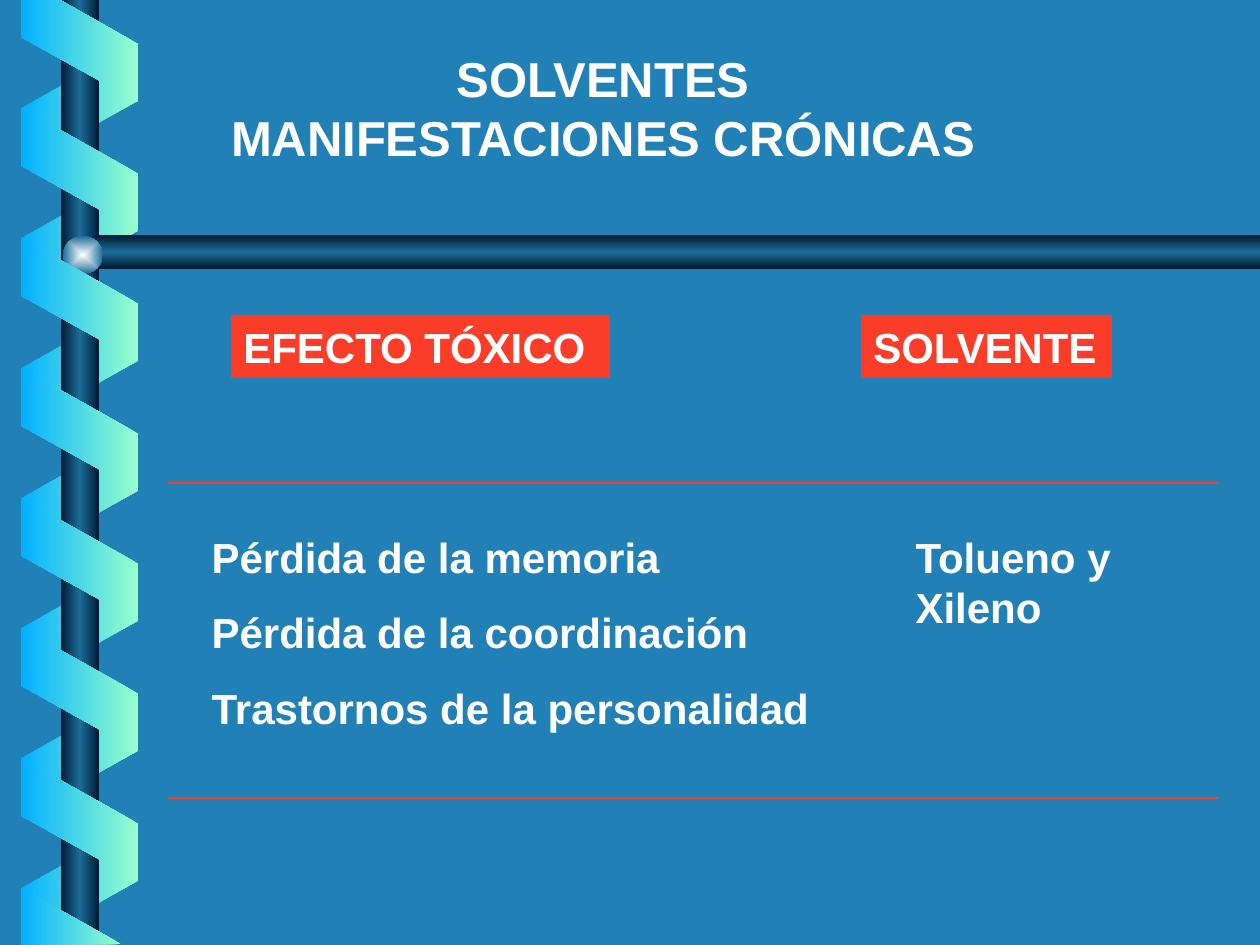
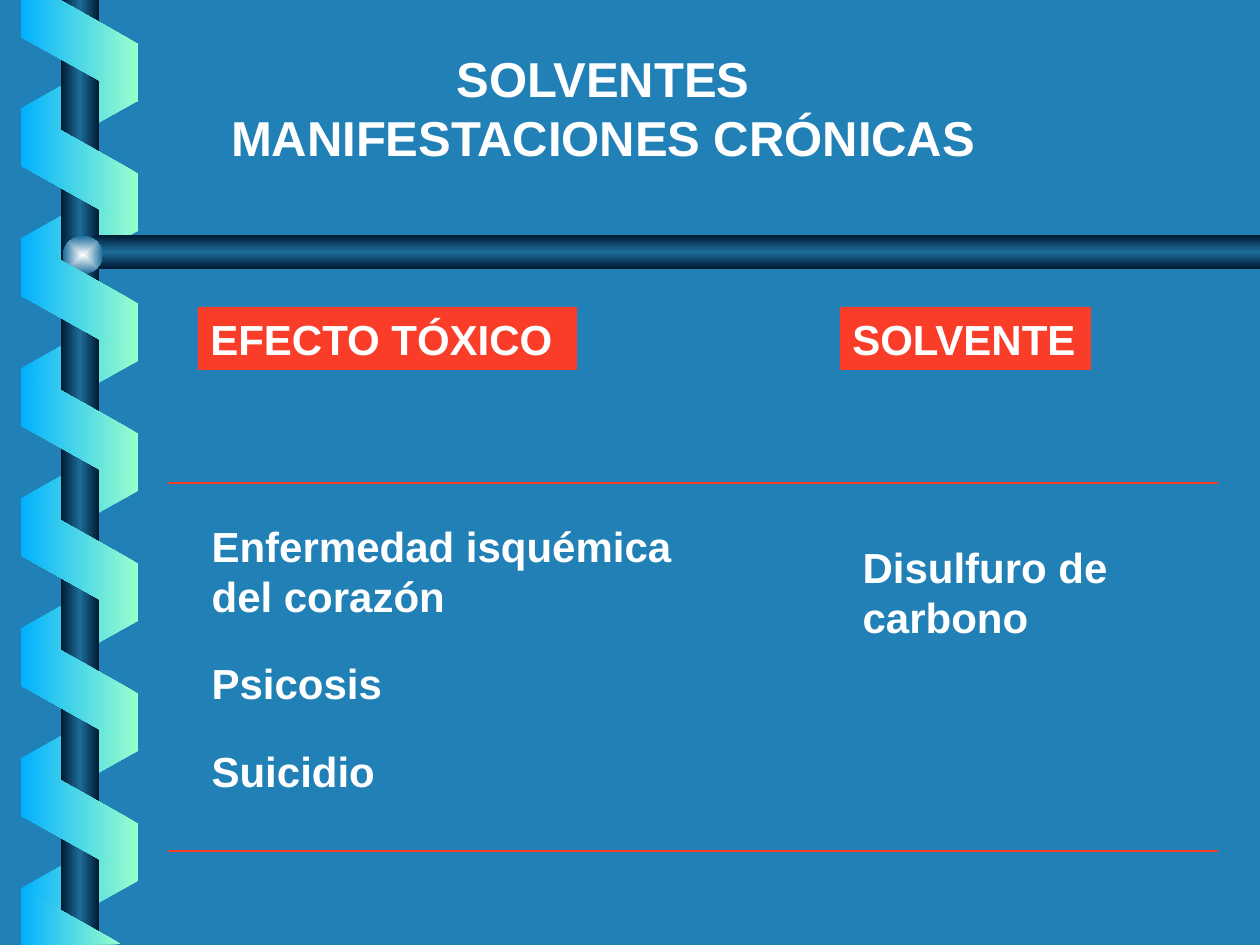
from dataclasses import dataclass

from lxml import etree
from pptx import Presentation
from pptx.dml.color import RGBColor
from pptx.enum.shapes import MSO_CONNECTOR as Connector, MSO_SHAPE as Shape
from pptx.enum.text import MSO_ANCHOR as Anchor, MSO_AUTO_SIZE as AutoSize, PP_ALIGN as Align
from pptx.oxml import parse_xml
from pptx.oxml.ns import nsdecls, qn
from pptx.util import Pt

EMU_PER_PX = 914400 / 126
PAGE_WIDTH, PAGE_HEIGHT = 1260, 945
TWO_CONTENT = 3


@dataclass(frozen=True)
class Theme:
    font: str = "Arial"
    title_size: int = 28
    text_size: int = 24
    line_width: int = 1
    background: str = "2181B7"
    text: str = "FFFFFF"
    accent: str = "F93D29"
    ribbon: tuple = ("99FFCC", "01B0FF")
    rod: tuple = ("001932", "1C6D9A", "001932")
    knob: tuple = ("FEFFFF", "1C6D9A")


@dataclass(frozen=True)
class Frame:
    left: int
    top: int
    width: int
    height: int

    def emu(self) -> tuple:
        return tuple(px(n) for n in (self.left, self.top, self.width, self.height))


@dataclass(frozen=True)
class Label:
    text: str
    frame: Frame


@dataclass(frozen=True)
class TextList:
    items: list[list[str]]  # each item holds its lines
    frame: Frame
    gap: float = 0  # points between items


@dataclass(frozen=True)
class EffectPage:
    labels: list[Label]
    effects: TextList
    solvent: TextList
    bottom_rule: int


THEME = Theme()
TITLE = TextList([["SOLVENTES", "MANIFESTACIONES CRÓNICAS"]], Frame(217, 42, 772, 131))
TOP_RULE, RULE_LEFT, RULE_RIGHT = 483, 168, 1218


def px(length: float) -> int:
    return round(length * EMU_PER_PX)


def color(value: str) -> RGBColor:
    return RGBColor.from_string(value)


def labels(effect_left: int, solvent_left: int, top: int) -> list[Label]:
    return [
        Label("SOLVENTE", Frame(solvent_left, top, 251, 63)),
        Label("EFECTO TÓXICO", Frame(effect_left, top, 379, 63)),
    ]


PAGES = [
    EffectPage(
        labels(231, 861, 315),
        TextList(
            [["Pérdida de la memoria"], ["Pérdida de la coordinación"],
             ["Trastornos de la personalidad"]],
            Frame(199, 525, 640, 210), gap=14.4),
        TextList([["Tolueno y", "Xileno"]], Frame(903, 525, 240, 113)),
        bottom_rule=798,
    ),
    EffectPage(
        labels(198, 840, 307),
        TextList(
            [["Enfermedad isquémica", "del corazón"], ["Psicosis"], ["Suicidio"]],
            Frame(199, 514, 496, 284), gap=21),
        TextList([["Disulfuro de", "carbono"]], Frame(850, 535, 290, 113)),
        bottom_rule=851,
    ),
]


# Fills
def fill_gradient(shape, colors: tuple, angle: int | None) -> None:
    """Blend evenly spaced colours along an angle, or outwards from the centre."""
    last = len(colors) - 1
    stops = "".join(
        f'<a:gs pos="{100000 * i // last}"><a:srgbClr val="{value}"/></a:gs>'
        for i, value in enumerate(colors))
    if angle is None:
        shade = ('<a:path path="rect"><a:fillToRect l="50000" t="50000" '
                 'r="50000" b="50000"/></a:path>')
    else:
        shade = f'<a:lin ang="{angle * 60000}" scaled="0"/>'
    shape.fill.background()
    properties = shape.element.spPr
    properties.replace(properties.find(qn("a:noFill")), parse_xml(
        f'<a:gradFill rotWithShape="0" {nsdecls("a")}>'
        f"<a:gsLst>{stops}</a:gsLst>{shade}</a:gradFill>"))
    shape.line.fill.background()
    shape.shadow.inherit = False


# Spiral binding and bars
def draw_preset(slide, kind: Shape, frame: Frame, colors: tuple, angle: int | None):
    shape = slide.shapes.add_shape(kind, *frame.emu())
    fill_gradient(shape, colors, angle)
    return shape


def draw_outline(slide, points: list[tuple], colors: tuple, angle: int) -> None:
    builder = slide.shapes.build_freeform(*points[0], scale=EMU_PER_PX)
    builder.add_line_segments(points[1:], close=True)
    fill_gradient(builder.convert_to_shape(), colors, angle)


def draw_coils(slide, count: int, first_top: int, behind: bool) -> None:
    colors = THEME.ribbon[::-1] if behind else THEME.ribbon
    for i in range(count):
        frame = Frame(18, first_top + 130 * i, 123, 117)
        coil = draw_preset(slide, Shape.PARALLELOGRAM, frame, colors, 180)
        coil.adjustments[0] = 0.56
        coil.rotation = 90 if behind else 270
        if behind:
            coil.element.spPr.find(qn("a:xfrm")).set("flipH", "1")


def draw_binding(slide) -> None:
    draw_coils(slide, 7, 46, behind=True)
    draw_preset(slide, Shape.RECTANGLE, Frame(61, 0, 38, PAGE_HEIGHT), THEME.rod, 180)
    bar = [(PAGE_WIDTH, 235), (96, 235), (76, 252), (96, 269), (PAGE_WIDTH, 269)]
    draw_outline(slide, bar, THEME.rod, 90)
    draw_preset(slide, Shape.OVAL, Frame(63, 236, 40, 38), THEME.knob, None)
    draw_coils(slide, 6, 111, behind=False)
    top_end = [(21, 0), (21, 37), (138, 102), (138, 44), (60, 0)]
    bottom_end = [(121, 944), (21, 888), (21, 945)]
    for points in (top_end, bottom_end):
        draw_outline(slide, points, THEME.ribbon, 180)


def move_to_layout(slide, layout) -> None:
    """Hand the drawn decoration over to the layout that all pages share."""
    tree = layout.element.cSld.spTree
    decoration = [shape for shape in slide.shapes if not shape.is_placeholder]
    for number, shape in enumerate(decoration, start=100):
        shape.element.nvSpPr.cNvPr.set("id", str(number))
        tree.append(shape.element)


# Text
def write_line(para, text: str, size: int, align: Align, before: float) -> None:
    properties = para._p.get_or_add_pPr()
    properties.set("marL", "0")
    properties.set("indent", "0")
    etree.SubElement(properties, qn("a:buNone"))
    para.alignment = align
    para.space_before = Pt(before)
    span = para.add_run()
    span.text = text
    span.font.name = THEME.font
    span.font.size = Pt(size)
    span.font.bold = True
    span.font.color.rgb = color(THEME.text)


def write_list(box, content: TextList, size: int, align: Align = Align.LEFT,
               wrap: bool = True) -> None:
    box.left, box.top, box.width, box.height = content.frame.emu()
    text = box.text_frame
    text.auto_size = AutoSize.NONE
    text.word_wrap = wrap
    text.vertical_anchor = Anchor.TOP
    for i, item in enumerate(content.items):
        for j, line in enumerate(item):
            first = i == j == 0
            para = text.paragraphs[0] if first else text.add_paragraph()
            before = content.gap if i and not j else 0
            write_line(para, line, size, align, before)


def draw_label(slide, label: Label) -> None:
    box = slide.shapes.add_shape(Shape.RECTANGLE, *label.frame.emu())
    box.fill.solid()
    box.fill.fore_color.rgb = color(THEME.accent)
    box.line.fill.background()
    box.shadow.inherit = False
    write_list(box, TextList([[label.text]], label.frame), THEME.text_size)


def draw_rule(slide, y: int) -> None:
    rule = slide.shapes.add_connector(
        Connector.STRAIGHT, px(RULE_LEFT), px(y), px(RULE_RIGHT), px(y))
    rule.line.color.rgb = color(THEME.accent)
    rule.line.width = Pt(THEME.line_width)
    etree.SubElement(rule.element.spPr, qn("a:effectLst"))


def fill_page(slide, page: EffectPage) -> None:
    write_list(slide.shapes.title, TITLE, THEME.title_size, Align.CENTER, wrap=False)
    for label in page.labels:
        draw_label(slide, label)
    write_list(slide.placeholders[1], page.effects, THEME.text_size)
    write_list(slide.placeholders[2], page.solvent, THEME.text_size)
    for y in (TOP_RULE, page.bottom_rule):
        draw_rule(slide, y)


def main() -> None:
    deck = Presentation()
    deck.slide_width, deck.slide_height = px(PAGE_WIDTH), px(PAGE_HEIGHT)
    background = deck.slide_master.background.fill
    background.solid()
    background.fore_color.rgb = color(THEME.background)

    layout = deck.slide_layouts[TWO_CONTENT]
    slides = [deck.slides.add_slide(layout) for _ in PAGES]
    draw_binding(slides[0])
    move_to_layout(slides[0], layout)
    for slide, page in zip(slides, PAGES):
        fill_page(slide, page)
    deck.save("out.pptx")


if __name__ == "__main__":
    main()
